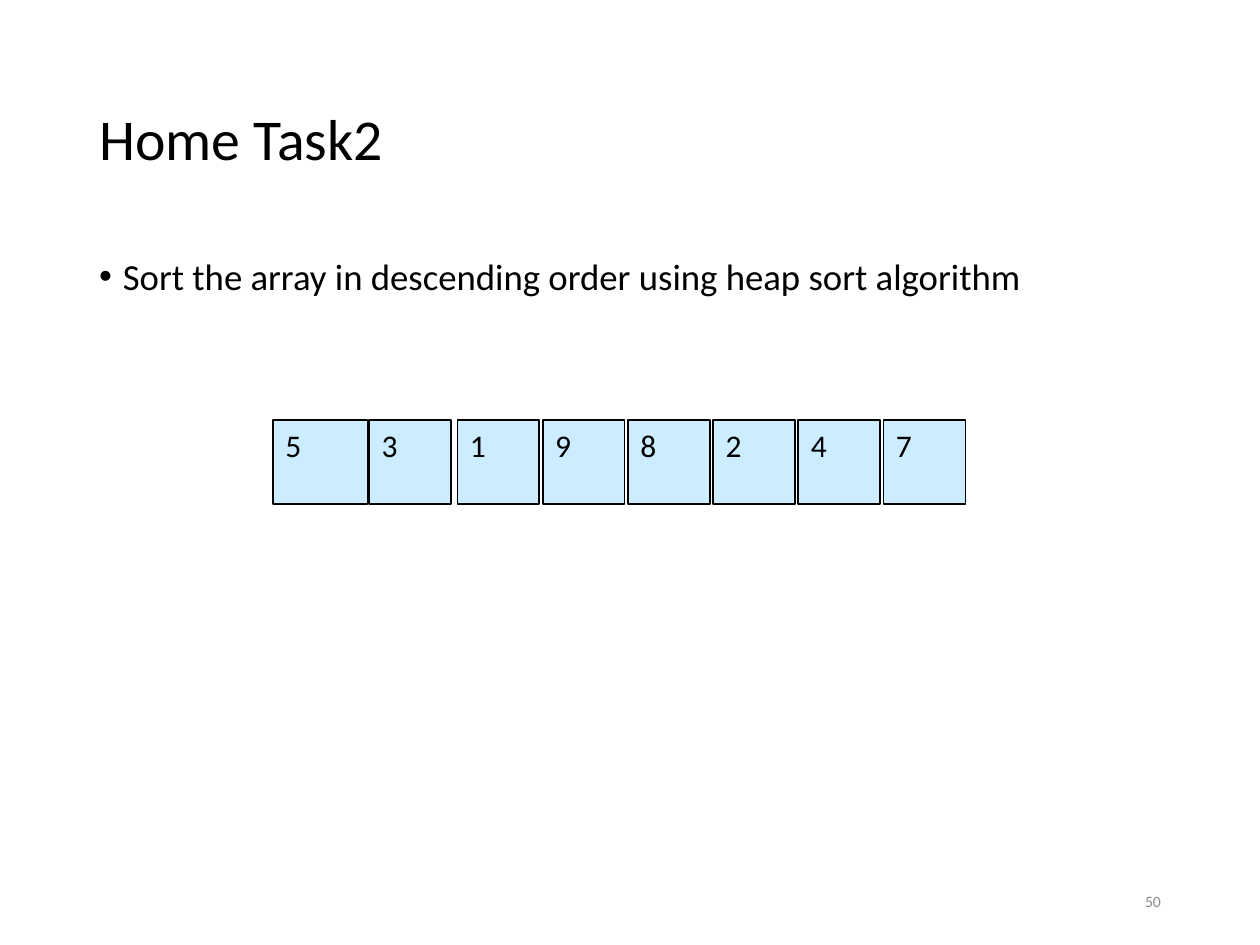
from dataclasses import dataclass

from pptx import Presentation
from pptx.dml.color import RGBColor
from pptx.enum import shapes, text
from pptx.util import Pt


@dataclass
class Box:
    left: float
    top: float
    width: float
    height: float

    def pts(self) -> list:
        return [Pt(v) for v in (self.left, self.top, self.width, self.height)]


@dataclass
class Cell:
    value: str
    box: Box


def color(code: str) -> RGBColor:
    return RGBColor.from_string(code)


def put(obj, **values) -> None:
    for name, value in values.items():
        setattr(obj, name, value)


def write(shape, words: str, size: float, ink: str = "000000",
          anchor=text.MSO_ANCHOR.TOP, **para):
    """Fill a shape with one formatted paragraph and return it."""
    frame = shape.text_frame
    put(frame, text=words, word_wrap=True, vertical_anchor=anchor,
        auto_size=text.MSO_AUTO_SIZE.NONE)
    line = frame.paragraphs[0]
    put(line, **({"alignment": text.PP_ALIGN.LEFT} | para))
    font = line.runs[0].font
    put(font, name="Calibri", size=Pt(size))
    font.color.rgb = color(ink)
    return line


def place(shape, box: Box) -> None:
    put(shape, **dict(zip(("left", "top", "width", "height"), box.pts())))


def draw(group, cell: Cell) -> None:
    rect = group.shapes.add_shape(shapes.MSO_SHAPE.RECTANGLE, *cell.box.pts())
    rect.shadow.inherit = False
    rect.fill.solid()
    rect.fill.fore_color.rgb = color("CCECFF")
    rect.line.color.rgb = color("000000")
    rect.line.width = Pt(1)
    write(rect, cell.value, 18)


def cells() -> list[Cell]:
    # The first cell is wider; from the third on the pitch is even
    top, high, wide, start, pitch = 240, 48, 46.8, 261.4, 48.7
    row = [Cell("5", Box(156, top, 54, high)), Cell("3", Box(211, top, wide, high))]
    return row + [Cell(v, Box(start + i * pitch, top, wide, high))
                  for i, v in enumerate("198247")]


def main() -> None:
    deck = Presentation()
    put(deck, slide_width=Pt(720), slide_height=Pt(540))
    slide = deck.slides.add_slide(deck.slide_layouts[1])
    title, body = slide.placeholders

    # Title
    place(title, Box(49.5, 28.8, 621, 104.4))
    write(title, "Home Task2", 33, anchor=text.MSO_ANCHOR.MIDDLE, line_spacing=0.9)

    # Task
    place(body, Box(49.5, 144, 621, 342.7))
    task = write(body, "Sort the array in descending order using heap sort algorithm",
                 21, line_spacing=0.9, space_before=Pt(7.5))
    props = task._p.get_or_add_pPr()
    props.set("marL", str(Pt(13.5)))
    props.set("indent", str(-Pt(13.5)))

    # Array
    group = slide.shapes.add_group_shape()
    for cell in cells():
        draw(group, cell)

    # Slide number
    number = slide.shapes.add_textbox(*Box(508.5, 500.5, 162, 28.8).pts())
    write(number, "50", 9, "8C8C8C", text.MSO_ANCHOR.MIDDLE,
          alignment=text.PP_ALIGN.RIGHT)

    deck.save("out.pptx")


if __name__ == "__main__":
    main()
